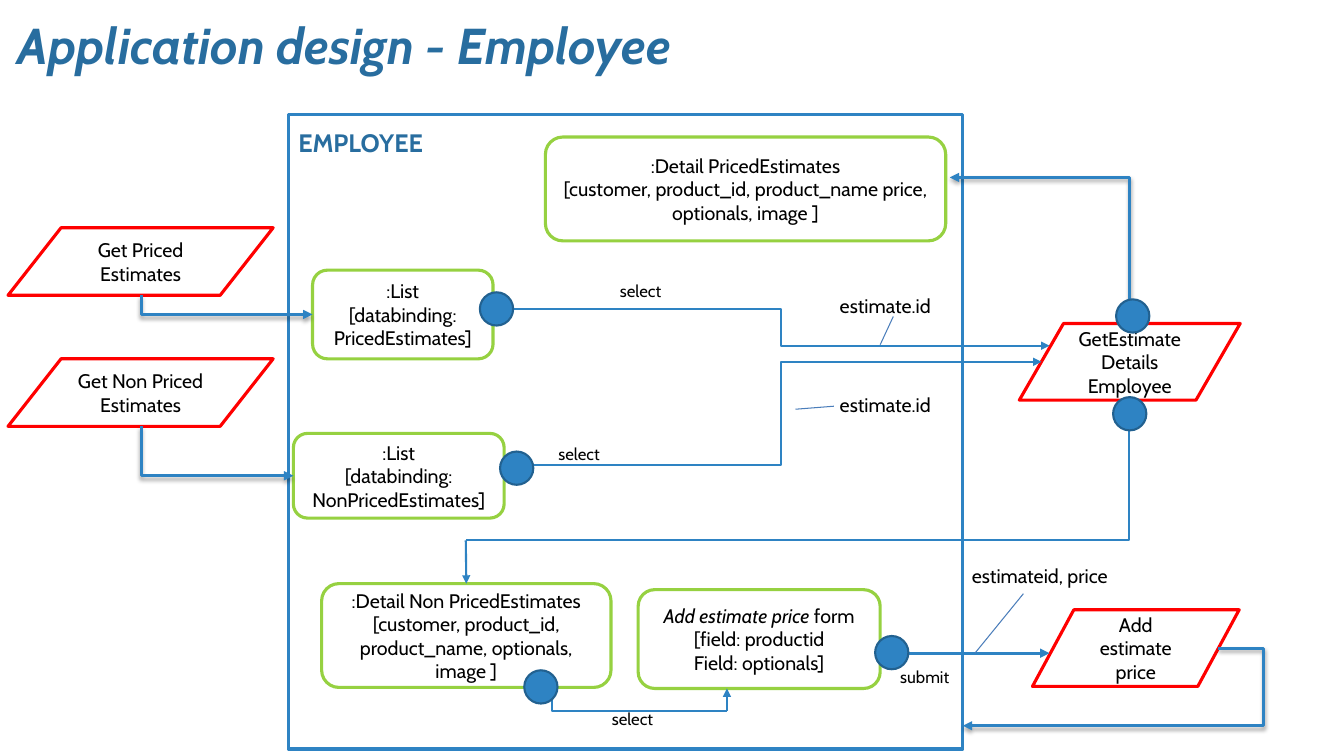
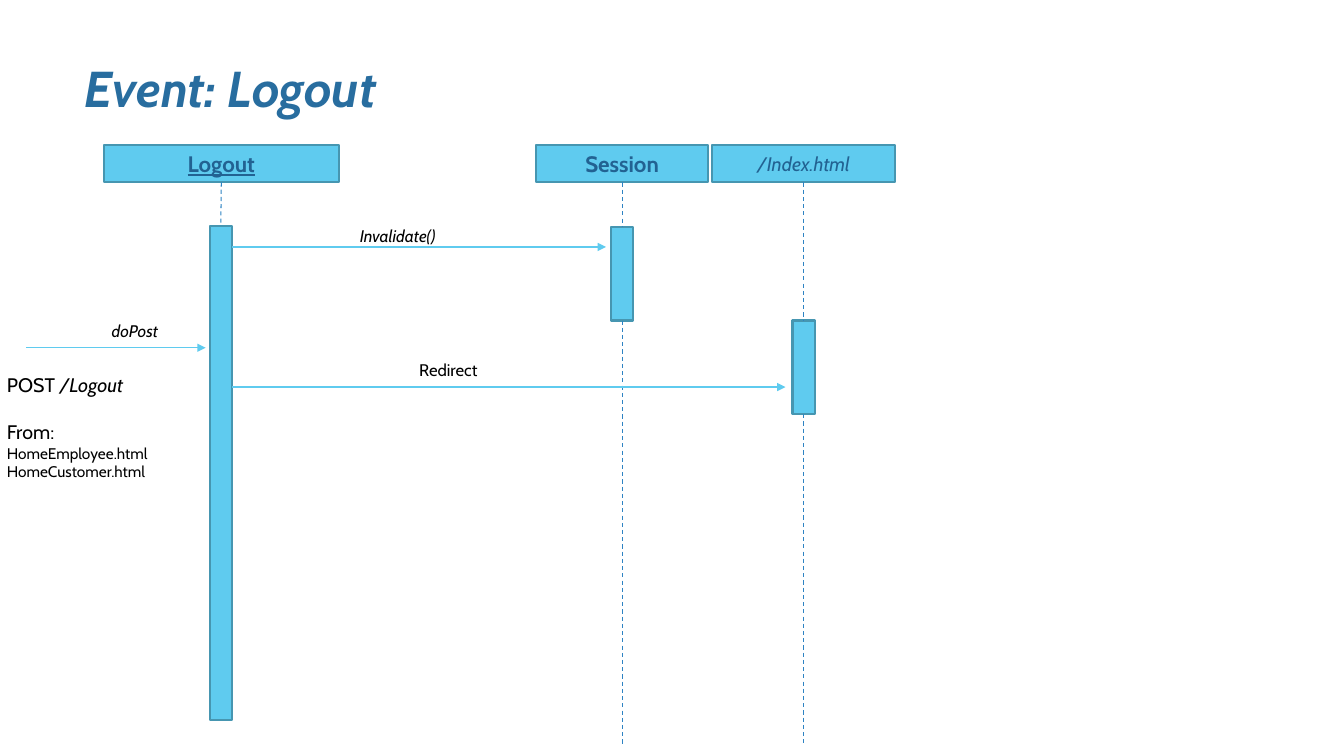
from lxml import etree
from pptx import Presentation
from pptx.dml.color import RGBColor
from pptx.enum import dml, shapes, text
from pptx.oxml import ns
from pptx.util import Inches, Pt

WHITE = RGBColor(0xFF, 0xFF, 0xFF)
BLACK = RGBColor(0, 0, 0)
TITLE_BLUE = RGBColor(0x28, 0x6D, 0x9F)
BLUE = RGBColor(0x2E, 0x83, 0xC3)
DARK_BLUE = RGBColor(0x22, 0x61, 0x90)
CALLOUT_BLUE = RGBColor(0x4A, 0x7D, 0xBA)
SKY = RGBColor(0x5F, 0xCB, 0xEF)
SKY_EDGE = RGBColor(0x46, 0x96, 0xB1)
HEADER_TEXT = RGBColor(0x22, 0x62, 0x92)
GREEN = RGBColor(0x96, 0xD1, 0x41)
RED = RGBColor(0xFF, 0, 0)

FONT = "Cabin"
KIND = shapes.MSO_SHAPE
CENTER = text.PP_ALIGN.CENTER
TOP, BOTTOM = 0, 2
DOT = 0.33


def add_child(parent, tag, **attributes):
    child = etree.SubElement(parent, ns.qn(tag))
    for key, value in attributes.items():
        child.set(key, str(value))
    return child


class Diagram:
    """Holds the deck, its style and the slide being drawn."""

    def __init__(self):
        self.deck = Presentation()
        self.deck.slide_width = Inches(13.33)
        self.deck.slide_height = Inches(7.5)
        self.page = None

    def new_page(self):
        self.page = self.deck.slides.add_slide(self.deck.slide_layouts[6])

    def title(self, words, left, top, width):
        self.label(words, left, top, width, 0.74, size=36, color=TITLE_BLUE,
                   bold=True, italic=True)

    def fill_text(self, frame, lines, size=14, color=BLACK, align=None, bold=None,
                  italic=None, underline=None):
        """Fill a frame; a line is a string or a list of (words, size, italic) spans."""
        for number, line in enumerate(lines):
            para = frame.paragraphs[0] if number == 0 else frame.add_paragraph()
            para.alignment = align
            spans = [(line, size, italic)] if isinstance(line, str) else line
            for words, span_size, slanted in spans:
                span = para.add_run()
                span.text = words
                font = span.font
                font.name, font.size = FONT, Pt(span_size)
                font.color.rgb = color
                font.bold, font.italic, font.underline = bold, slanted, underline

    def label(self, lines, left, top, width, height=0.3, wrap=True, size=12, **style):
        box = self.page.shapes.add_textbox(
            Inches(left), Inches(top), Inches(width), Inches(height))
        frame = box.text_frame
        frame.word_wrap = wrap
        frame.auto_size = text.MSO_AUTO_SIZE.SHAPE_TO_FIT_TEXT
        self.fill_text(frame, [lines] if isinstance(lines, str) else lines, size, **style)
        return box

    def shape(self, kind, left, top, width, height, edge, weight, fill=None,
              lines=(), **style):
        box = self.page.shapes.add_shape(
            kind, Inches(left), Inches(top), Inches(width), Inches(height))
        box.shadow.inherit = False
        if fill is None:
            box.fill.background()
        else:
            box.fill.solid()
            box.fill.fore_color.rgb = fill
        box.line.color.rgb = edge
        box.line.width = Pt(weight)
        box.text_frame.vertical_anchor = text.MSO_ANCHOR.MIDDLE
        self.fill_text(box.text_frame, lines, align=CENTER, **style)
        return box

    def component(self, left, top, width, height, *lines):
        return self.shape(KIND.FLOWCHART_ALTERNATE_PROCESS, left, top, width, height,
                          GREEN, 2.25, lines=lines)

    def action(self, left, top, width, height, *lines):
        return self.shape(KIND.FLOWCHART_DATA, left, top, width, height,
                          RED, 2.25, lines=lines)

    def event(self, left, top):
        self.shape(KIND.FLOWCHART_CONNECTOR, left, top, DOT, DOT, DARK_BLUE, 1.5, BLUE)

    def bar(self, left, top, width, height, words=None, **style):
        return self.shape(KIND.RECTANGLE, left, top, width, height, SKY_EDGE, 1.5, SKY,
                          [words] if words else [], color=HEADER_TEXT, **style)

    def line(self, start, end, color=BLUE, weight=1.5, head=False, tail=False,
             dashed=False, shadow=False, kind=shapes.MSO_CONNECTOR.STRAIGHT):
        link = self.page.shapes.add_connector(
            kind, *(Inches(value) for value in (*start, *end)))
        link.line.color.rgb = color
        link.line.width = Pt(weight)
        if dashed:
            link.line.dash_style = dml.MSO_LINE.DASH
        properties = link._element.spPr
        stroke = properties.find(ns.qn("a:ln"))
        for wanted, tag in ((head, "a:headEnd"), (tail, "a:tailEnd")):
            if wanted:
                add_child(stroke, tag, type="triangle")
        effects = add_child(properties, "a:effectLst")
        if shadow:
            cast = add_child(effects, "a:outerShdw", blurRad=Pt(3), dist=Pt(2),
                             dir=90 * 60000, rotWithShape=0)
            tint = add_child(cast, "a:srgbClr", val="000000")
            add_child(tint, "a:alpha", val=35000)
        return link

    def step(self, start, end, bend=0.5, **style):
        """Run across, down or up at the bend, then across again."""
        link = self.line(start, end, kind=shapes.MSO_CONNECTOR.ELBOW, tail=True, **style)
        guides = link._element.spPr.find(ns.qn("a:prstGeom")).get_or_add_avLst()
        add_child(guides, "a:gd", name="adj1", fmla=f"val {round(bend * 100000)}")

    def corner(self, start, end, **style):
        """Run down or up from start, then across to end.

        The preset goes across first, so it is laid from end to start.
        """
        link = self.line(end, start, kind=shapes.MSO_CONNECTOR.ELBOW, **style)
        link._element.spPr.find(ns.qn("a:prstGeom")).set("prst", "bentConnector2")

    def lifeline(self, upper, lower=None):
        """Dash from a box down to the next one, or to the foot of the slide."""
        x = (upper.left + upper.width / 2) / Inches(1)
        y = (upper.top + upper.height) / Inches(1)
        link = self.line((x, y), (x, 7.39), weight=0.75, dashed=True)
        link.begin_connect(upper, BOTTOM)
        if lower is not None:
            link.end_connect(lower, TOP)


def employee_page(art):
    art.new_page()
    art.shape(KIND.FLOWCHART_PROCESS, 2.86, 1.14, 6.69, 6.29, BLUE, 2.25, WHITE)
    art.title("Application design - Employee", 0.08, 0.09, 8.34)
    art.label("EMPLOYEE", 2.86, 1.21, 1.49, 0.4, size=18, color=TITLE_BLUE, bold=True)

    art.component(5.41, 1.36, 3.97, 1.03, ":Detail PricedEstimates",
                  "[customer, product_id, product_name price, optionals, image ]")
    art.component(3.1, 2.68, 1.79, 0.88, ":List", "[databinding: PricedEstimates]")
    art.component(2.91, 4.3, 2.09, 0.84, ":List", "[databinding: NonPricedEstimates]")
    detail = art.component(3.19, 5.79, 2.87, 1.03, ":Detail Non PricedEstimates",
                           "[customer, product_id, product_name, optionals, image ]")
    art.component(6.33, 5.85, 2.4, 0.98,
                  [("Add estimate price ", 14, True), ("form", 14, False)],
                  "[field: productid", "Field: optionals]")

    art.action(0.08, 2.26, 2.63, 0.67, "Get Priced", "Estimates")
    art.action(0.08, 3.56, 2.63, 0.67, "Get Non Priced Estimates")
    art.action(10.11, 3.21, 2.19, 0.76, "GetEstimateDetails", "Employee")
    art.action(10.24, 6.05, 2.05, 0.76, "Add estimate price")

    strong = {"weight": 2.25, "shadow": True}
    art.corner((1.4, 2.93), (3.1, 3.12), head=True, **strong)
    art.corner((1.4, 4.23), (2.91, 4.72), head=True, **strong)
    art.corner((11.2, 3.21), (9.42, 1.76), head=True, **strong)
    art.step((12.08, 6.43), (9.55, 7.2), bend=-0.18, **strong)
    art.step((5.08, 3.07), (10.41, 3.43))
    art.step((5.06, 4.61), (10.33, 3.59), bend=0.51)
    art.line((8.86, 6.48), (10.41, 6.48), weight=2.25, tail=True)
    art.corner((11.2, 4.27), (4.62, 5.36))
    art.line((4.62, 5.36), (4.62, 5.79), tail=True).end_connect(detail, TOP)
    art.corner((5.48, 6.93), (7.21, 7.05))
    art.line((7.21, 7.05), (7.21, 6.83), tail=True)

    for left, top in ((4.76, 2.9), (4.96, 4.48), (11.07, 2.97), (11.04, 3.94),
                      (8.68, 6.31), (5.2, 6.65)):
        art.event(left, top)

    for start, end in (((8.86, 3.14), (8.73, 3.42)), ((8.27, 4.03), (7.89, 4.06)),
                       ((10.15, 5.89), (9.67, 6.48))):
        art.line(start, end, CALLOUT_BLUE, 0.75)
    for words, left, top, width in (("estimate.id", 8.23, 2.87, 1.21),
                                    ("estimate.id", 8.23, 3.85, 1.21),
                                    ("estimateid, price", 9.54, 5.55, 2)):
        art.label(words, left, top, width, 0.34, size=14)
    for left, top in ((6.05, 2.74), (5.44, 4.35), (5.97, 6.98)):
        art.label("select", left, top, 0.65, wrap=False)
    art.label("submit", 8.83, 6.57, 0.71)


def logout_page(art):
    art.new_page()
    art.title("Event: Logout", 0.74, 0.52, 6.72)

    header_top, header_height, bar_width = 1.44, 0.37, 0.22
    for words, left, width, bar_top, bar_height, style in (
            ("Logout", 1.03, 2.33, 2.24, 4.9,
             {"size": 16, "bold": True, "underline": True}),
            ("Session", 5.32, 1.7, 2.25, 0.93, {"size": 16, "bold": True}),
            ("/Index.html", 7.06, 1.82, 3.18, 0.93, {"italic": True})):
        header = art.bar(left, header_top, width, header_height, words, **style)
        bar_left = round(left + (width - bar_width) / 2, 2)
        activation = art.bar(bar_left, bar_top, bar_width, bar_height)
        art.lifeline(header, activation)
        if words != "Logout":
            art.lifeline(activation)

    for start, end, y in ((2.3, 6.01, 2.45), (0.26, 2.04, 3.45), (2.3, 7.79, 3.84)):
        art.line((start, y), (end, y), SKY, 1, tail=True)
    art.label("Invalidate()", 3.47, 2.19, 1.45, italic=True)
    art.label("doPost", 1.01, 3.13, 0.9, italic=True)
    art.label("Redirect", 4.06, 3.52, 1.03)

    request = art.label([[("POST ", 14, False), ("/Logout", 14, True)], "From:",
                         [("HomeEmployee.html", 11, False)],
                         [("HomeCustomer.html", 11, False)]],
                        -0.03, 3.65, 2.07, 1.18, size=14)
    request.text_frame.paragraphs[1].space_before = Pt(17)


def main():
    art = Diagram()
    employee_page(art)
    logout_page(art)
    art.deck.save("out.pptx")


if __name__ == "__main__":
    main()
